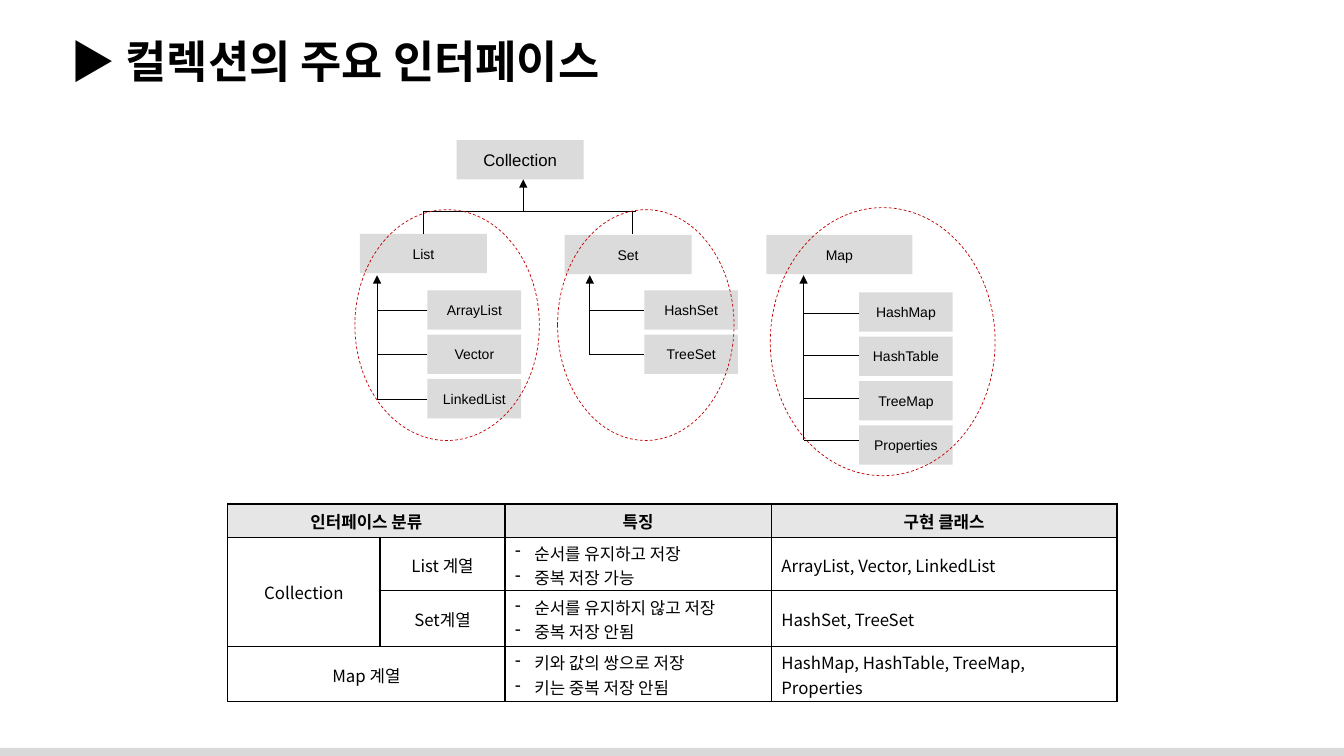
from dataclasses import dataclass

from lxml import etree
from pptx import Presentation
from pptx import util as u
from pptx.dml.color import RGBColor
from pptx.enum import dml, shapes, text
from pptx.oxml.ns import qn

IN = u.Inches


@dataclass(frozen=True)
class Theme:
    ink: str = "000000"
    box: str = "DBDBDB"
    head: str = "E7E6E6"
    bar: str = "D9D9D9"
    ring: str = "C00000"
    latin: str = "Arial"
    asian: str = "Noto Sans CJK KR"
    title: int = 32
    body: int = 12
    small: int = 10
    thin: float = 0.5
    rule: float = 1


def sub(parent, tag, **attrs):
    return etree.SubElement(parent, qn(tag), attrs)


def put(obj, vals):
    for name, val in vals.items():
        setattr(obj, name, val)


class Deck:
    def __init__(self, theme):
        self.theme = theme
        self.prs = Presentation()
        put(self.prs, {"slide_width": IN(13.33), "slide_height": IN(7.5)})
        self.slide = self.prs.slides.add_slide(self.prs.slide_layouts[5])

    def label(self, par, words, size, font, bold=False, align=text.PP_ALIGN.LEFT):
        par.alignment = align
        run = par.add_run()
        run.text = words
        put(run.font, {"size": u.Pt(size), "name": font, "bold": bold})
        run.font.color.rgb = RGBColor.from_string(self.theme.ink)
        sub(run.font._element, "a:ea", typeface=self.theme.asian)

    def title(self, words, x, y, w, h):
        ph = self.slide.shapes.title
        put(ph, {"left": IN(x), "top": IN(y), "width": IN(w), "height": IN(h)})
        put(ph.text_frame, {"word_wrap": True, "auto_size": text.MSO_AUTO_SIZE.NONE,
                            "vertical_anchor": text.MSO_ANCHOR.MIDDLE})
        self.label(ph.text_frame.paragraphs[0], words, self.theme.title,
                   self.theme.latin, True)

    def shape(self, kind, x, y, w, h):
        shp = self.slide.shapes.add_shape(kind, IN(x), IN(y), IN(w), IN(h))
        shp.shadow.inherit = False
        return shp

    def box(self, x, y, w, h, fill, words="", size=None):
        shp = self.shape(shapes.MSO_SHAPE.RECTANGLE, x, y, w, h)
        shp.fill.solid()
        shp.fill.fore_color.rgb = RGBColor.from_string(fill)
        shp.line.fill.background()
        if words:
            put(shp.text_frame, {"word_wrap": True, "margin_left": 0, "margin_right": 0,
                                 "vertical_anchor": text.MSO_ANCHOR.MIDDLE})
            self.label(shp.text_frame.paragraphs[0], words, size or self.theme.small,
                       self.theme.latin, align=text.PP_ALIGN.CENTER)

    def ring(self, x, y, w, h):
        shp = self.shape(shapes.MSO_SHAPE.OVAL, x, y, w, h)
        shp.fill.background()
        shp.line.color.rgb = RGBColor.from_string(self.theme.ring)
        put(shp.line, {"width": u.Pt(self.theme.thin),
                       "dash_style": dml.MSO_LINE.DASH})

    def line(self, x1, y1, x2, y2, arrow=False):
        con = self.slide.shapes.add_connector(
            shapes.MSO_CONNECTOR.STRAIGHT, IN(x1), IN(y1), IN(x2), IN(y2))
        con.line.width = u.Pt(self.theme.thin)
        con.line.color.rgb = RGBColor.from_string(self.theme.ink)
        if arrow:
            sub(con.line._get_or_add_ln(), "a:tailEnd", type="triangle")
        sub(con._element.spPr, "a:effectLst")

    def edge(self, cell):
        """Draw the four borders of a cell."""
        props = cell._tc.get_or_add_tcPr()
        for i, side in enumerate("LRTB"):
            ln = sub(props, f"a:ln{side}", w=str(u.Pt(self.theme.rule)))
            sub(sub(ln, "a:solidFill"), "a:srgbClr", val=self.theme.ink)
            props.insert(i, ln)

    def cell(self, cell, words, head, center, dash):
        put(cell, {"vertical_anchor": text.MSO_ANCHOR.MIDDLE,
                   "margin_left": IN(0.1), "margin_right": IN(0.1),
                   "margin_top": IN(0.03), "margin_bottom": IN(0.01)})
        if head:
            cell.fill.solid()
            cell.fill.fore_color.rgb = RGBColor.from_string(self.theme.head)
        else:
            cell.fill.background()
        self.edge(cell)
        align = text.PP_ALIGN.CENTER if center else text.PP_ALIGN.LEFT
        for i, part in enumerate(words.split("\n") if words else []):
            frame = cell.text_frame
            par = frame.add_paragraph() if i else frame.paragraphs[0]
            self.label(par, part, self.theme.body, self.theme.asian, head, align)
            if dash:
                props = par._p.get_or_add_pPr()
                props.set("marL", str(IN(0.19)))
                props.set("indent", str(-IN(0.19)))
                sub(props, "a:buChar", char="-")

    def table(self, x, y, cols, rows, data, spans):
        tbl = self.slide.shapes.add_table(
            len(rows), len(cols), IN(x), IN(y), IN(sum(cols)), IN(sum(rows))).table
        put(tbl, {"first_row": False, "horz_banding": False})
        for col, w in zip(tbl.columns, cols):
            col.width = IN(w)
        for row, h in zip(tbl.rows, rows):
            row.height = IN(h)
        for r, line in enumerate(data):
            for c, words in enumerate(line):
                self.cell(tbl.cell(r, c), words, r == 0, r == 0 or c < 2,
                          r > 0 and c == 2)
        for start, end in spans:
            tbl.cell(*start).merge(tbl.cell(*end))


# name, (left, top, width), trunk x, (child left, child top), (stub top, stub step), children
TREES = [
    ("List", (3.57, 2.32, 1.26), 3.74, (4.24, 2.88), (3.08, 0.44),
     ["ArrayList", "Vector", "LinkedList"]),
    ("Set", (5.6, 2.33, 1.26), 5.85, (6.39, 2.88), (3.08, 0.44),
     ["HashSet", "TreeSet"]),
    ("Map", (7.6, 2.33, 1.45), 7.97, (8.52, 2.9), (3.11, 0.42),
     ["HashMap", "HashTable", "TreeMap", "Properties"]),
]
RINGS = [(3.52, 2.08, 1.83, 2.29), (5.53, 2.08, 1.75, 2.29), (7.64, 2.06, 2.23, 2.66)]
TALL = 0.39
ROWS = [
    ["인터페이스 분류", "", "특징", "구현 클래스"],
    ["Collection", "List 계열", "순서를 유지하고 저장\n중복 저장 가능",
     "ArrayList, Vector, LinkedList"],
    ["", "Set계열", "순서를 유지하지 않고 저장\n중복 저장 안됨", "HashSet, TreeSet"],
    ["Map 계열", "", "키와 값의 쌍으로 저장\n키는 중복 저장 안됨",
     "HashMap, HashTable, TreeMap, Properties"],
]


def main():
    theme = Theme()
    deck = Deck(theme)
    deck.box(-0.03, 7.42, 13.39, 0.11, theme.bar)
    deck.title("▶ 컬렉션의 주요 인터페이스", 0.6, 0.28, 12.6, 0.64)

    deck.box(4.53, 1.39, 1.26, TALL, theme.box, "Collection", theme.body)
    for name, (x, y, w), trunk, (left, top), (stub, step), kids in TREES:
        deck.box(x, y, w, TALL, theme.box, name)
        for i, kid in enumerate(kids):
            deck.line(left, stub + i * step, trunk, stub + i * step)
            deck.box(left, top + i * 0.44, 0.93, TALL, theme.box, kid)
        deck.line(trunk, stub + (len(kids) - 1) * step, trunk, 2.73, arrow=True)
    for x in (4.2, 6.27):
        deck.line(x, 2.32, x, 2.1)
    deck.line(4.2, 2.1, 6.31, 2.1)
    deck.line(5.19, 2.1, 5.19, 1.78, arrow=True)
    for ring in RINGS:
        deck.ring(*ring)

    deck.table(2.26, 5, [1.51, 1.24, 2.64, 3.43], [0.33, 0.53, 0.55, 0.55], ROWS,
               [((0, 0), (0, 1)), ((1, 0), (2, 0)), ((3, 0), (3, 1))])
    deck.prs.save("out.pptx")


if __name__ == "__main__":
    main()
